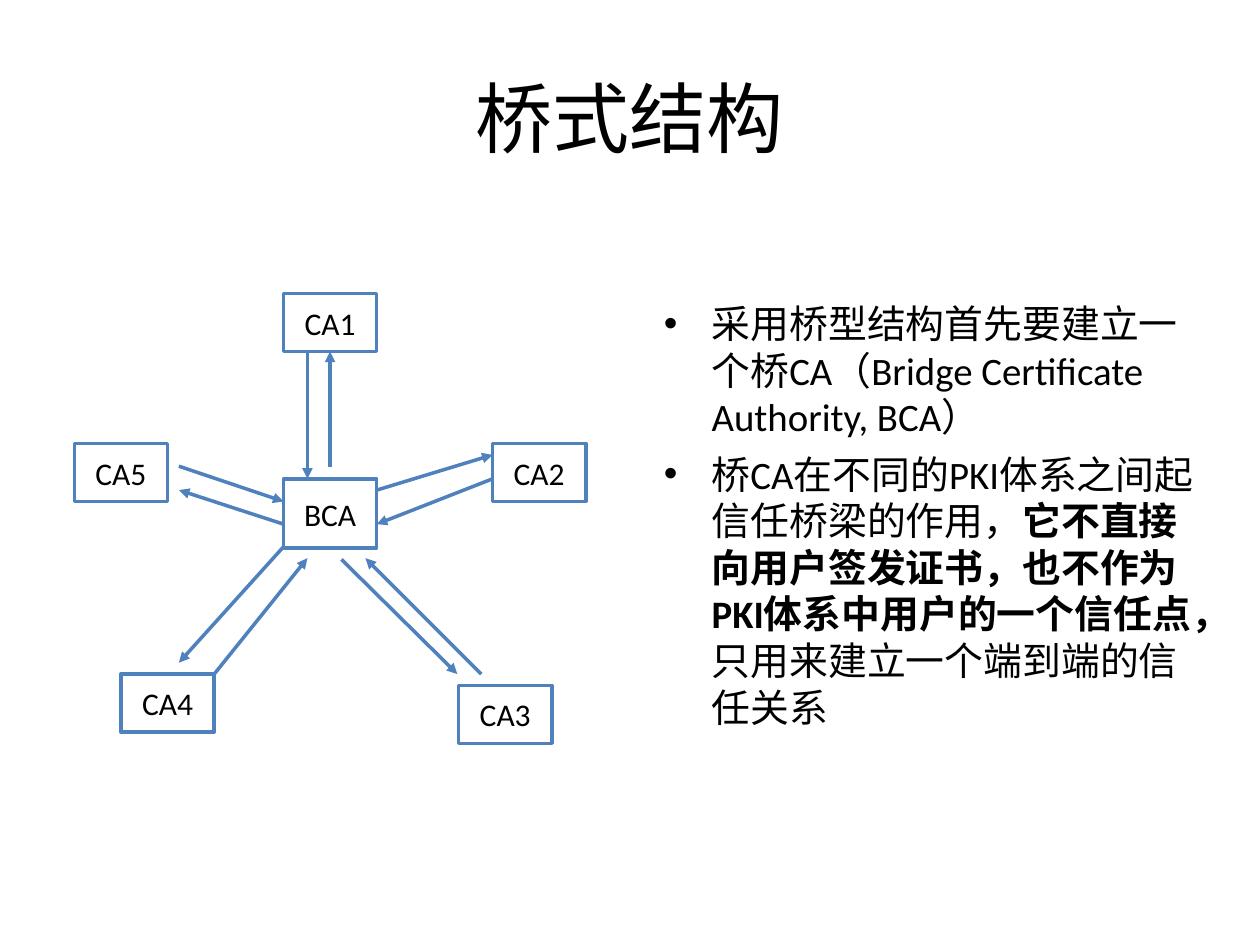
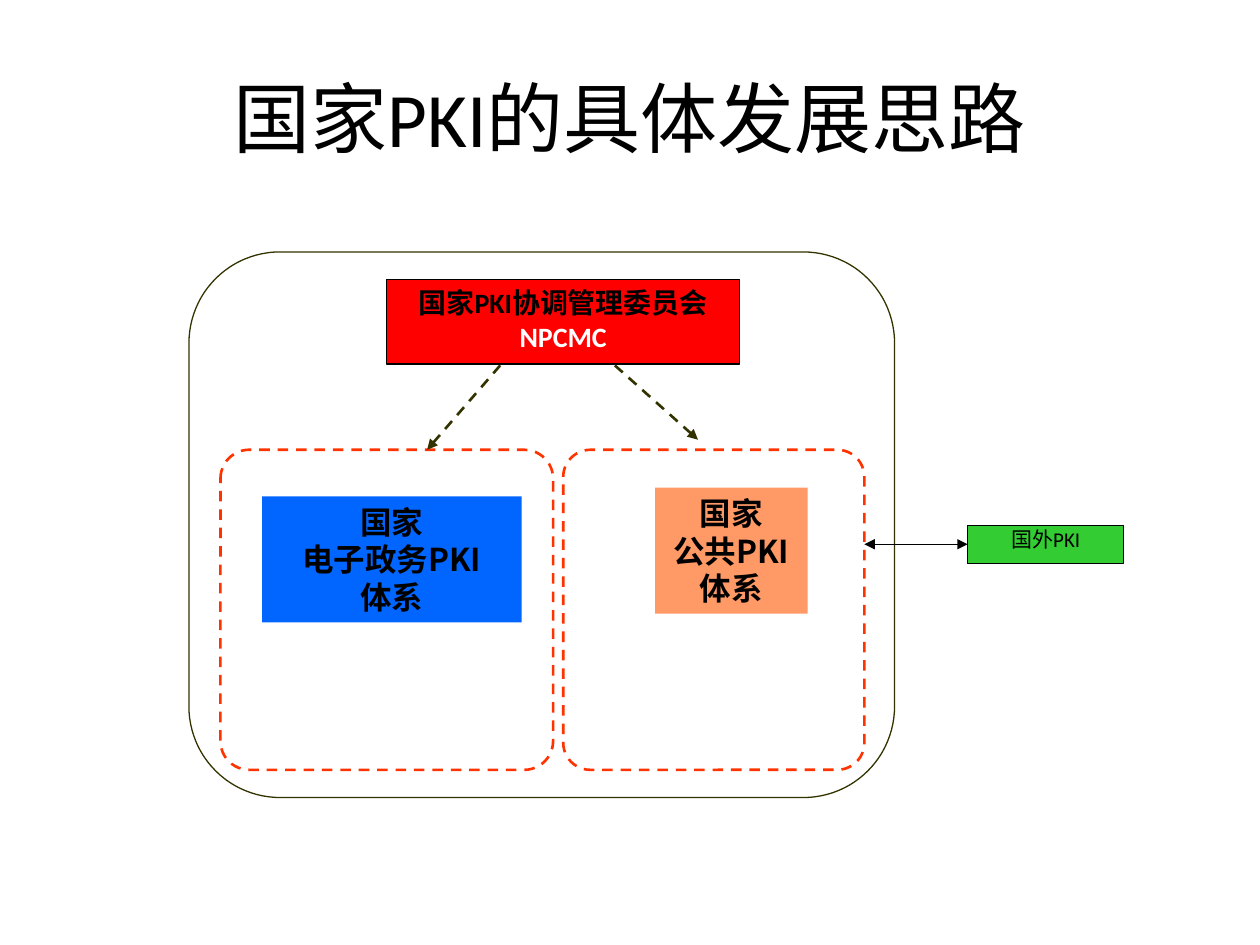
from dataclasses import dataclass
from typing import Optional

import pptx
import pptx.dml.color
import pptx.enum.dml
import pptx.enum.shapes
import pptx.enum.text
import pptx.oxml
import pptx.oxml.ns
import pptx.util

Inches = pptx.util.Inches
Pt = pptx.util.Pt
RGBColor = pptx.dml.color.RGBColor
Shapes = pptx.enum.shapes.MSO_SHAPE
Anchor = pptx.enum.text.MSO_ANCHOR
Align = pptx.enum.text.PP_ALIGN

BLACK = RGBColor(0x00, 0x00, 0x00)
WHITE = RGBColor(0xFF, 0xFF, 0xFF)
BRIDGE_BLUE = RGBColor(0x4F, 0x81, 0xBD)
OLIVE = RGBColor(0x33, 0x33, 0x00)
COMMITTEE_RED = RGBColor(0xFF, 0x00, 0x00)
DOMAIN_RED = RGBColor(0xFF, 0x33, 0x00)
GOVERNMENT_BLUE = RGBColor(0x00, 0x66, 0xFF)
PUBLIC_ORANGE = RGBColor(0xFF, 0x99, 0x66)
FOREIGN_GREEN = RGBColor(0x33, 0xCC, 0x33)

LATIN_FONT = "Calibri"
CJK_FONT = "Noto Sans CJK SC"


@dataclass(frozen=True)
class Run:
    text: str
    bold: bool = False
    color: RGBColor = BLACK


@dataclass(frozen=True)
class Stroke:
    color: RGBColor
    width: float
    dashed: bool = False


@dataclass(frozen=True)
class Box:
    left: float
    top: float
    width: float
    height: float
    fill: Optional[RGBColor] = None
    stroke: Optional[Stroke] = None
    corner: Optional[float] = None


@dataclass(frozen=True)
class Arrow:
    start: tuple[float, float]
    end: tuple[float, float]
    stroke: Stroke
    two_way: bool = False


def append_xml(parent, tag: str, **attributes: str) -> None:
    element = pptx.oxml.parse_xml(f"<a:{tag} {pptx.oxml.ns.nsdecls('a')}/>")
    for name, value in attributes.items():
        element.set(name, value)
    parent.append(element)


def write_text(shape, paragraphs: list[list[Run]], *, size: float,
               font: str = LATIN_FONT, align=Align.CENTER, anchor=Anchor.TOP,
               wrap: bool = True, margin_y: float = 0.05,
               bulleted: bool = False) -> None:
    frame = shape.text_frame
    frame.word_wrap = wrap
    frame.vertical_anchor = anchor
    frame.margin_left = frame.margin_right = Inches(0.1)
    frame.margin_top = frame.margin_bottom = Inches(margin_y)
    for index, runs in enumerate(paragraphs):
        paragraph = frame.add_paragraph() if index else frame.paragraphs[0]
        paragraph.alignment = align
        if bulleted:
            paragraph.space_before = Pt(6)
            properties = paragraph._p.get_or_add_pPr()
            properties.set("marL", str(Inches(0.38)))
            properties.set("indent", str(-Inches(0.38)))
            append_xml(properties, "buFont", typeface="Arial")
            append_xml(properties, "buChar", char="•")
        for part in runs:
            run = paragraph.add_run()
            run.text = part.text
            run.font.size = Pt(size)
            run.font.bold = part.bold
            run.font.color.rgb = part.color
            run.font.name = font
            append_xml(run._r.get_or_add_rPr(), "ea", typeface=CJK_FONT)


def apply_stroke(line, stroke: Stroke) -> None:
    line.color.rgb = stroke.color
    line.width = Pt(stroke.width)
    if stroke.dashed:
        line.dash_style = pptx.enum.dml.MSO_LINE.DASH


def draw_box(slide, box: Box):
    rounded = box.corner is not None
    shape = slide.shapes.add_shape(
        Shapes.ROUNDED_RECTANGLE if rounded else Shapes.RECTANGLE,
        Inches(box.left), Inches(box.top), Inches(box.width), Inches(box.height))
    shape.shadow.inherit = False
    if rounded:
        shape.adjustments[0] = box.corner
    if box.fill is None:
        shape.fill.background()
    else:
        shape.fill.solid()
        shape.fill.fore_color.rgb = box.fill
    if box.stroke is None:
        shape.line.fill.background()
    else:
        apply_stroke(shape.line, box.stroke)
    return shape


def draw_arrow(slide, arrow: Arrow) -> None:
    connector = slide.shapes.add_connector(
        pptx.enum.shapes.MSO_CONNECTOR.STRAIGHT,
        *(Inches(value) for value in arrow.start + arrow.end))
    apply_stroke(connector.line, arrow.stroke)
    line = connector.line._get_or_add_ln()
    if arrow.two_way:
        append_xml(line, "headEnd", type="triangle")
    append_xml(line, "tailEnd", type="triangle")
    append_xml(connector._element.spPr, "effectLst")


def add_titled_slide(presentation, title: str):
    slide = presentation.slides.add_slide(presentation.slide_layouts[6])
    heading = slide.shapes.add_textbox(Inches(0.5), Inches(0.3), Inches(9), Inches(1.25))
    write_text(heading, [[Run(title)]], size=44, anchor=Anchor.MIDDLE)
    return slide


def build_bridge_slide(presentation) -> None:
    slide = add_titled_slide(presentation, "桥式结构")
    explanation = slide.shapes.add_textbox(
        Inches(5.17), Inches(2.33), Inches(4.5), Inches(3.92))
    write_text(explanation, [
        [Run("采用桥型结构首先要建立一个桥CA（Bridge Certificate Authority, BCA）")],
        [Run("桥CA在不同的PKI体系之间起信任桥梁的作用，"),
         Run("它不直接向用户签发证书，也不作为PKI体系中用户的一个信任点，", bold=True),
         Run("只用来建立一个端到端的信任关系")],
    ], size=22.2, align=Align.LEFT, bulleted=True)

    stroke = Stroke(BRIDGE_BLUE, 2)
    authorities = {
        "BCA": (2.25, 3.8, 0.55),
        "CA1": (2.25, 2.33, 0.46),
        "CA2": (3.91, 3.52, 0.46),
        "CA3": (3.64, 5.44, 0.46),
        "CA4": (0.96, 5.35, 0.46),
        "CA5": (0.59, 3.52, 0.46),
    }
    for name, (left, top, height) in authorities.items():
        authority = draw_box(slide, Box(left, top, 0.74, height, WHITE, stroke))
        write_text(authority, [[Run(name)]], size=18, anchor=Anchor.MIDDLE, wrap=False)

    trust_links = [
        ((1.42, 3.7), (2.25, 3.98)), ((2.25, 4.16), (1.42, 3.89)),
        ((2.44, 2.79), (2.44, 3.8)), ((2.62, 3.71), (2.62, 2.79)),
        ((2.99, 3.89), (3.91, 3.61)), ((3.91, 3.8), (2.99, 4.16)),
        ((2.25, 4.34), (1.42, 5.26)), ((1.7, 5.35), (2.44, 4.43)),
        ((2.71, 4.44), (3.63, 5.35)), ((3.82, 5.35), (2.9, 4.43)),
    ]
    for start, end in trust_links:
        draw_arrow(slide, Arrow(start, end, stroke))


def build_national_slide(presentation) -> None:
    slide = add_titled_slide(presentation, "国家PKI的具体发展思路")
    thin_black = Stroke(BLACK, 0.75)
    domain_border = Stroke(DOMAIN_RED, 1.5, dashed=True)
    guidance = Stroke(OLIVE, 1.5, dashed=True)

    draw_box(slide, Box(1.5, 2, 5.6, 4.33, stroke=Stroke(OLIVE, 0.75), corner=0.167))
    committee = draw_box(slide, Box(3.07, 2.22, 2.8, 0.67, COMMITTEE_RED, thin_black))
    write_text(committee, [
        [Run("国家PKI协调管理委员会", bold=True)],
        [Run("NPCMC", bold=True, color=WHITE)],
    ], size=16)

    draw_arrow(slide, Arrow((6.86, 4.32), (7.68, 4.32), thin_black, two_way=True))
    foreign = draw_box(slide, Box(7.68, 4.17, 1.24, 0.3, FOREIGN_GREEN, Stroke(BLACK, 0.5)))
    write_text(foreign, [[Run("国外PKI")]], size=12, margin_y=0.01)

    for left, width in ((1.75, 2.64), (4.47, 2.39)):
        draw_box(slide, Box(left, 3.57, width, 2.54, stroke=domain_border, corner=0.09))
    systems = [
        ("电子政务PKI", Box(2.08, 3.94, 2.06, 1, GOVERNMENT_BLUE), True),
        ("公共PKI", Box(5.2, 3.87, 1.21, 1, PUBLIC_ORANGE), False),
    ]
    for name, box, wrap in systems:
        lines = [[Run(line, bold=True)] for line in ("国家", name, "体系")]
        write_text(draw_box(slide, box), lines, size=18, font=CJK_FONT, wrap=wrap)

    draw_arrow(slide, Arrow((4.88, 2.9), (5.54, 3.49), guidance))
    draw_arrow(slide, Arrow((3.97, 2.9), (3.39, 3.57), guidance))


def main() -> None:
    presentation = pptx.Presentation()
    presentation.slide_width = Inches(10)
    presentation.slide_height = Inches(7.5)
    build_bridge_slide(presentation)
    build_national_slide(presentation)
    presentation.save("out.pptx")


if __name__ == "__main__":
    main()
